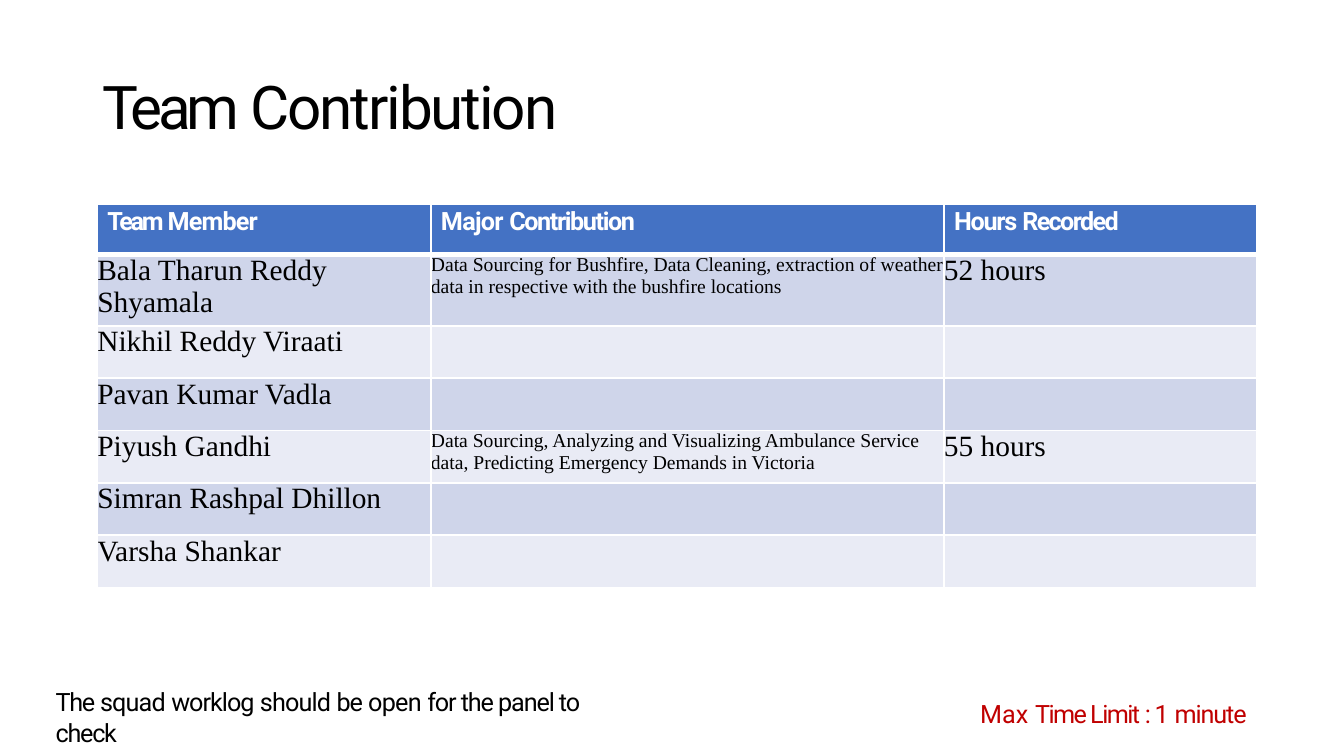
import pptx
import pptx.dml.color
import pptx.enum.text
import pptx.util
from lxml import etree

Pt = pptx.util.Pt
NS = "http://schemas.openxmlformats.org/drawingml/2006/main"
COLORS = {
    "black": "000000",
    "white": "FFFFFF",
    "red": "C00000",
    "header": "4472C4",
    "odd": "CFD5EA",
    "even": "E9EBF5",
}
HEADING_FONT = "Roboto"
BODY_FONT = "Times New Roman"
THIN, THICK = 1.5, 4.25

# Each run is its text and its letter spacing in points.
TITLE = [("Team ", -3), ("Contribution", -1.5)]
WORKLOG_NOTE = [
    ("The ", -1), ("squad ", -0.6), ("worklog ", -0.7), ("should ", -0.6),
    ("be ", -0.8), ("open ", -0.5), ("for the panel to ", -0.8), ("check", -0.9),
]
TIME_LIMIT = [
    ("Max ", 0.1), ("Time Limit ", -1.1), (": ", -1.8), ("1 ", -0.3), ("minute", -0.8),
]
HEADERS = [
    [("Team ", -1.7), ("Member", -0.6)],
    [("Major ", -0.5), ("Contribution", -1)],
    [("Hours ", -0.9), ("Recorded", -1.2)],
]
MEMBERS = [
    ("Bala Tharun Reddy Shyamala",
     "Data Sourcing for Bushfire, Data Cleaning, extraction of weather data "
     "in respective with the bushfire locations", "52 hours"),
    ("Nikhil Reddy Viraati", "", ""),
    ("Pavan Kumar Vadla", "", ""),
    ("Piyush Gandhi",
     "Data Sourcing, Analyzing and Visualizing Ambulance Service data, "
     "Predicting Emergency Demands in Victoria", "55 hours"),
    ("Simran Rashpal Dhillon", "", ""),
    ("Varsha Shankar", "", ""),
]
COLUMN_WIDTHS = [238.3, 366.5, 223.9]
COLUMN_SIZES = [21, 14, 21]
ROW_HEIGHTS = [36, 51.1] + [37.4] * 5


def rgb(color):
    """Return the named colour."""
    return pptx.dml.color.RGBColor.from_string(COLORS[color])


def add_runs(paragraph, runs, font, size, color, bold=False):
    """Add runs of text, each with its own letter spacing."""
    for text, spacing in runs:
        run = paragraph.add_run()
        run.text = text
        run.font.name = font
        run.font.size = Pt(size)
        run.font.bold = bold
        run.font.color.rgb = rgb(color)
        run._r.get_or_add_rPr().set("spc", str(round(spacing * 100)))


def indent(paragraph, left, before):
    """Set the left margin and the space above a paragraph."""
    properties = paragraph._p.get_or_add_pPr()
    properties.set("marL", str(Pt(left)))
    properties.set("indent", "0")
    paragraph.space_before = Pt(before)


def add_label(slide, place, runs, size, color, inset):
    """Add a one-paragraph text box in the heading font."""
    frame = slide.shapes.add_textbox(*map(Pt, place)).text_frame
    frame.word_wrap = True
    frame.auto_size = pptx.enum.text.MSO_AUTO_SIZE.SHAPE_TO_FIT_TEXT
    frame.margin_left = frame.margin_right = frame.margin_bottom = 0
    frame.margin_top = Pt(inset)
    paragraph = frame.paragraphs[0]
    indent(paragraph, 0.9, 1)
    add_runs(paragraph, runs, HEADING_FONT, size, color)


def style_cell(cell, fill, top, bottom):
    """Set the margins, white borders and fill of a cell."""
    cell.margin_left = cell.margin_right = cell.margin_top = cell.margin_bottom = 0
    properties = cell._tc.get_or_add_tcPr()
    for side, width in (("L", THIN), ("R", THIN), ("T", top), ("B", bottom)):
        line = etree.SubElement(properties, f"{{{NS}}}ln{side}", w=str(Pt(width)))
        solid = etree.SubElement(line, f"{{{NS}}}solidFill")
        etree.SubElement(solid, f"{{{NS}}}srgbClr", val=COLORS["white"])
    cell.fill.solid()
    cell.fill.fore_color.rgb = rgb(fill)


def add_contributions(slide, left, top):
    """Add the table of members, contributions and hours."""
    table = slide.shapes.add_table(
        len(ROW_HEIGHTS), len(COLUMN_WIDTHS), Pt(left), Pt(top),
        Pt(sum(COLUMN_WIDTHS)), Pt(sum(ROW_HEIGHTS))).table
    for column, width in zip(table.columns, COLUMN_WIDTHS):
        column.width = Pt(width)
    for row, height in zip(table.rows, ROW_HEIGHTS):
        row.height = Pt(height)

    for column, runs in enumerate(HEADERS):
        cell = table.cell(0, column)
        style_cell(cell, "header", THIN, THICK)
        cell.margin_top = Pt(2.2)
        paragraph = cell.text_frame.paragraphs[0]
        indent(paragraph, 7.2, 2.5)
        add_runs(paragraph, runs, HEADING_FONT, 18, "white", bold=True)

    for row, member in enumerate(MEMBERS, start=1):
        for column, text in enumerate(member):
            cell = table.cell(row, column)
            style_cell(cell, "odd" if row % 2 else "even",
                       THICK if row == 1 else THIN, THIN)
            if text:
                add_runs(cell.text_frame.paragraphs[0], [(text, 0)],
                         BODY_FONT, COLUMN_SIZES[column], "black")


def main():
    """Build the team contribution slide."""
    deck = pptx.Presentation()
    deck.slide_width, deck.slide_height = Pt(960), Pt(540)
    slide = deck.slides.add_slide(deck.slide_layouts[6])
    add_label(slide, (72, 48.2, 331.2, 54), TITLE, 43, "black", 1.4)
    add_contributions(slide, 69.5, 145.6)
    add_label(slide, (38.9, 489.6, 421.9, 23.8), WORKLOG_NOTE, 18, "black", 0.9)
    add_label(slide, (699.1, 498.2, 193, 23.8), TIME_LIMIT, 18, "red", 0.9)
    deck.save("out.pptx")


main()
